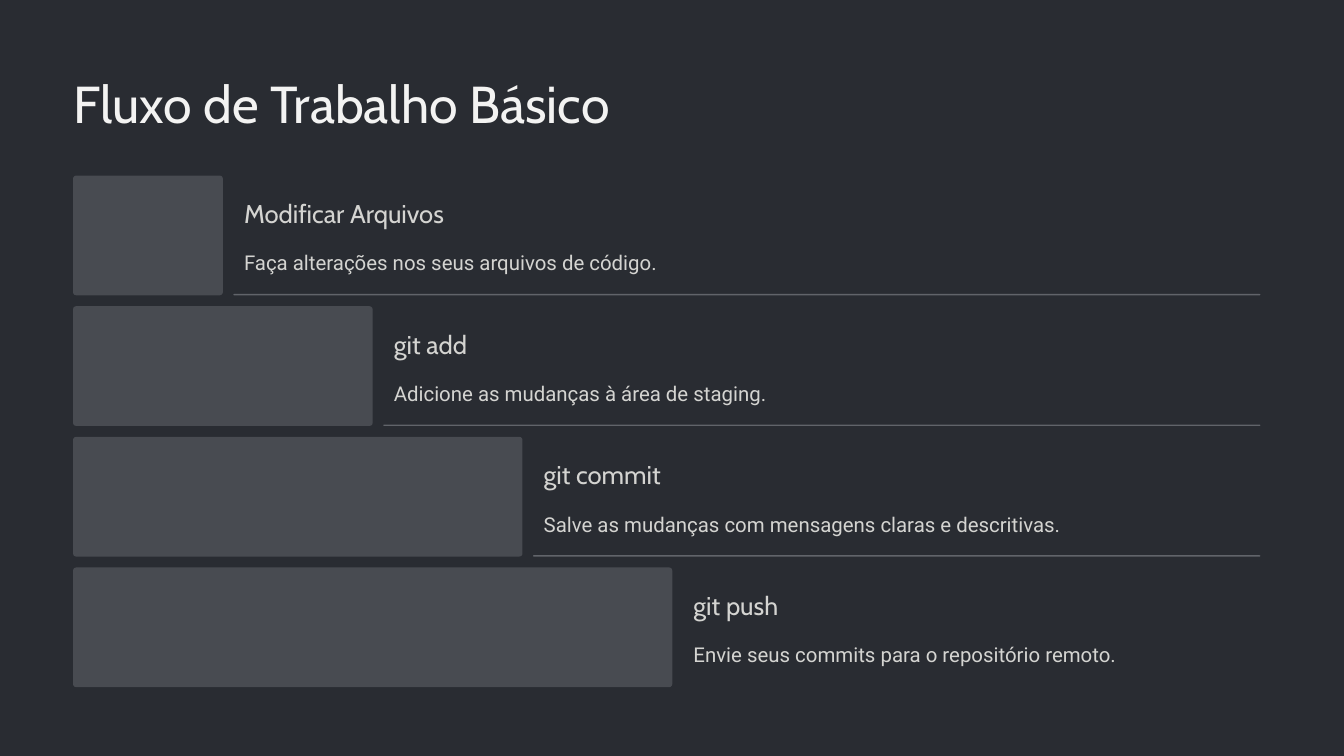
from pptx import Presentation
from pptx.dml.color import RGBColor
from pptx.enum.shapes import MSO_SHAPE
from pptx.enum.text import MSO_ANCHOR, MSO_AUTO_SIZE, PP_ALIGN
from pptx.util import Cm, Pt

BACKGROUND = RGBColor(0x29, 0x2C, 0x32)
BAR_FILL = RGBColor(0x48, 0x4B, 0x51)
RULE_FILL = RGBColor(0x61, 0x64, 0x6A)
TITLE_COLOR = RGBColor(0xF3, 0xF3, 0xF2)
TEXT_COLOR = RGBColor(0xD4, 0xD4, 0xD1)

LEFT, RIGHT, TOP = 2.21, 38.11, 5.31
BAR_STEP, BAR_HEIGHT, ROW_PITCH = 4.53, 3.62, 3.95

# Heading, description, width of the description box in cm
STEPS = [
    ("Modificar Arquivos", "Faça alterações nos seus arquivos de código.", 12.73),
    ("git add", "Adicione as mudanças à área de staging.", 11.51),
    ("git commit", "Salve as mudanças com mensagens claras e descritivas.", 15.95),
    ("git push", "Envie seus commits para o repositório remoto.", 13.03),
]


def write_text(shape, text, font_name, size, line_spacing, color):
    frame = shape.text_frame
    frame.text = text
    frame.margin_left = frame.margin_right = frame.margin_top = frame.margin_bottom = 0
    frame.word_wrap = False
    frame.auto_size = MSO_AUTO_SIZE.NONE
    frame.vertical_anchor = MSO_ANCHOR.TOP
    paragraph = frame.paragraphs[0]
    paragraph.alignment = PP_ALIGN.LEFT
    paragraph.line_spacing = Pt(line_spacing)
    font = paragraph.runs[0].font
    font.name, font.size, font.color.rgb = font_name, Pt(size), color


def add_block(left, top, width, height, corner, color):
    """Add a rounded rectangle without outline or shadow."""
    block = slide.shapes.add_shape(
        MSO_SHAPE.ROUNDED_RECTANGLE, Cm(left), Cm(top), Cm(width), Cm(height))
    block.adjustments[0] = corner
    block.shadow.inherit = False
    block.fill.solid()
    block.fill.fore_color.rgb = color
    block.line.fill.background()


presentation = Presentation()
presentation.slide_width, presentation.slide_height = Cm(40.64), Cm(22.86)
slide = presentation.slides.add_slide(presentation.slide_layouts[5])
slide.background.fill.solid()
slide.background.fill.fore_color.rgb = BACKGROUND

title = slide.shapes.title
title.left, title.top, title.width, title.height = Cm(LEFT), Cm(2.08), Cm(17.98), Cm(1.98)
write_text(title, "Fluxo de Trabalho Básico", "Cabin", 44.5, 55.5, TITLE_COLOR)

for row, (heading, description, description_width) in enumerate(STEPS):
    top = TOP + row * ROW_PITCH
    bar_width = (row + 1) * BAR_STEP
    bar_right = LEFT + bar_width
    add_block(LEFT, top, bar_width, BAR_HEIGHT, 0.026, BAR_FILL)

    text_left = Cm(bar_right + 0.64)
    heading_box = slide.shapes.add_textbox(text_left, Cm(top + 0.64), Cm(7.87), Cm(0.99))
    write_text(heading_box, heading, "Cabin", 22, 27.5, TEXT_COLOR)
    description_box = slide.shapes.add_textbox(
        text_left, Cm(top + 2), Cm(description_width), Cm(1.02))
    write_text(description_box, description, "Roboto", 17.5, 28.5, TEXT_COLOR)

    if row < len(STEPS) - 1:
        rule_left = bar_right + 0.32
        add_block(rule_left, top + 3.58, RIGHT - rule_left, 0.04, 0.5, RULE_FILL)

presentation.save("out.pptx")
